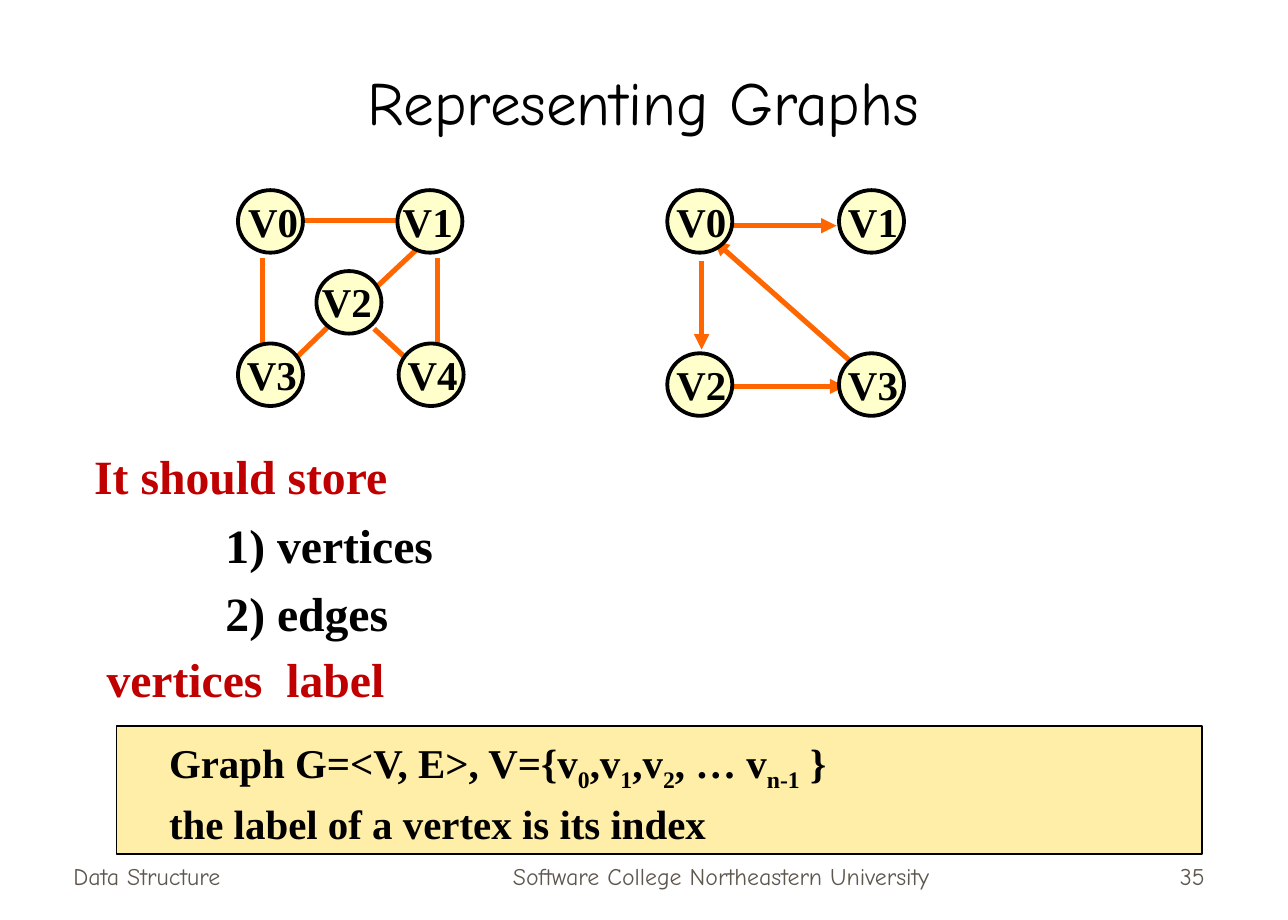
from lxml import etree
from pptx import Presentation
from pptx import util as u
from pptx.dml import color
from pptx.enum import shapes, text
from pptx.oxml import ns

BLACK = color.RGBColor(0x00, 0x00, 0x00)
RED = color.RGBColor(0xC0, 0x00, 0x00)
GREY = color.RGBColor(0x5E, 0x57, 0x4E)
ORANGE = color.RGBColor(0xFF, 0x66, 0x00)
CREAM = color.RGBColor(0xFF, 0xFF, 0xCC)
GOLD = color.RGBColor(0xFF, 0xEE, 0xA7)
LEFT, CENTER, RIGHT = text.PP_ALIGN.LEFT, text.PP_ALIGN.CENTER, text.PP_ALIGN.RIGHT
TOP, BOTTOM = text.MSO_ANCHOR.TOP, text.MSO_ANCHOR.BOTTOM
SERIF = {"name": "Times New Roman", "bold": True}
CASUAL = {"name": "Comic Neue", "bold": False}
SUBSCRIPT = {"baseline": "-25000"}

deck = Presentation()
deck.slide_width, deck.slide_height = u.Inches(10.5), u.Inches(7.5)
COLUMN, ROW = deck.slide_width / 105, deck.slide_height / 75
page = deck.slides.add_slide(deck.slide_layouts[6])


def cells(left, top, width, height):
    return [round(n * unit) for n, unit in zip((left, top, width, height), (COLUMN, ROW) * 2)]


def write(box, lines, size, look, align=LEFT, anchor=TOP, spacing=1.0):
    frame = box.text_frame
    frame.word_wrap = True
    frame.vertical_anchor = anchor
    for index, (indent, tint, spans) in enumerate(lines):
        para = frame.paragraphs[0] if index == 0 else frame.add_paragraph()
        para.alignment, para.line_spacing = align, spacing
        para._p.get_or_add_pPr().set("marL", str(round(indent * COLUMN)))
        for words, extras in spans:
            span = para.add_run()
            span.text = words
            span.font.color.rgb = tint
            for key, value in {**look, "size": u.Pt(size)}.items():
                setattr(span.font, key, value)
            for key, value in extras.items():
                span._r.get_or_add_rPr().set(key, value)


for words, place, size, tint, align in [
    ("Data Structure", (5, 68.1, 21.9, 5), 14, GREY, LEFT),
    ("Software College Northeastern University", (35.9, 68.1, 45.8, 5), 14, GREY, CENTER),
    ("35", (77.3, 68.1, 21.9, 5), 14, GREY, RIGHT),
    ("Representing Graphs", (3.3, 2.5, 98.3, 9.2), 36, BLACK, CENTER),
]:
    box = page.shapes.add_textbox(*cells(*place))
    write(box, [(0, tint, [(words, {})])], size, CASUAL, align, BOTTOM)

needs = page.shapes.add_textbox(*cells(6.7, 35, 90, 17.8))
write(needs, [
    (0, RED, [("It should store", {})]),
    (10.7, BLACK, [("1) vertices", {})]),
    (10.7, BLACK, [("2) edges", {})]),
], 28, SERIF, spacing=1.2)

definition = page.shapes.add_shape(shapes.MSO_SHAPE.RECTANGLE, *cells(9.5, 59.2, 88.5, 10.4))
definition.shadow.inherit = False
definition.fill.solid()
definition.fill.fore_color.rgb = GOLD
definition.line.color.rgb = BLACK
definition.line.width = u.Pt(1)
write(definition, [
    (3.3, BLACK, [
        ("Graph G=<V, E>, V={v", {}), ("0", SUBSCRIPT),
        (",v", {}), ("1", SUBSCRIPT),
        (",v", {}), ("2", SUBSCRIPT),
        (", … v", {}), ("n-1", SUBSCRIPT), (" }", {}),
    ]),
    (3.3, BLACK, [("the label of a vertex is its index", {})]),
], 24, SERIF, spacing=1.1)

heading = page.shapes.add_textbox(*cells(6.7, 52.5, 84.9, 5.7))
write(heading, [(1, RED, [("vertices", {}), (" ", {"spc": "700"}), ("label", {})])], 28, SERIF)

undirected = {
    "edges": [
        (21.4, 21, 21.4, 28.2), (24.6, 18, 33.2, 18), (35.7, 21, 35.7, 28.2),
        (27, 26.4, 23.9, 29.4), (33.9, 20.4, 30.7, 23.4), (30.5, 26.8, 33.2, 29.3),
    ],
    "vertices": [
        ("V0", 19.4, 15.5, 0.5), ("V4", 32.5, 28, 0.6), ("V3", 19.4, 28, 0.6),
        ("V1", 32.4, 15.5, 0.9), ("V2", 25.8, 22.1, 0.9),
    ],
    "arrows": False,
}
directed = {
    "edges": [
        (57.2, 21.3, 57.2, 28.5), (59.6, 31.5, 68.9, 31.5),
        (59.6, 18.4, 68.2, 18.4), (70.4, 30.4, 58.2, 19.6),
    ],
    "vertices": [
        (f"V{2 * row + column}", 54.4 + 14 * column, 15.5 + 13.3 * row, 0.6)
        for row in range(2) for column in range(2)
    ],
    "arrows": True,
}

for graph in (undirected, directed):
    group = page.shapes.add_group_shape()
    for ends in graph["edges"]:
        edge = group.shapes.add_connector(shapes.MSO_CONNECTOR.STRAIGHT, *cells(*ends))
        edge.line.color.rgb = ORANGE
        edge.line.width = u.Pt(3)
        if graph["arrows"]:
            etree.SubElement(edge.line._get_or_add_ln(), ns.qn("a:tailEnd"), type="triangle")
        etree.SubElement(edge._element.spPr, ns.qn("a:effectLst"))
    for name, left, top, shift in graph["vertices"]:
        vertex = group.shapes.add_shape(shapes.MSO_SHAPE.OVAL, *cells(left, top, 5.3, 5.1))
        vertex.shadow.inherit = False
        vertex.fill.solid()
        vertex.fill.fore_color.rgb = CREAM
        vertex.line.color.rgb = BLACK
        vertex.line.width = u.Pt(2.25)
        label = group.shapes.add_textbox(*cells(left - shift, top, 7.4, 5))
        write(label, [(0.35, BLACK, [(name, {})])], 24, SERIF)

deck.save("out.pptx")
